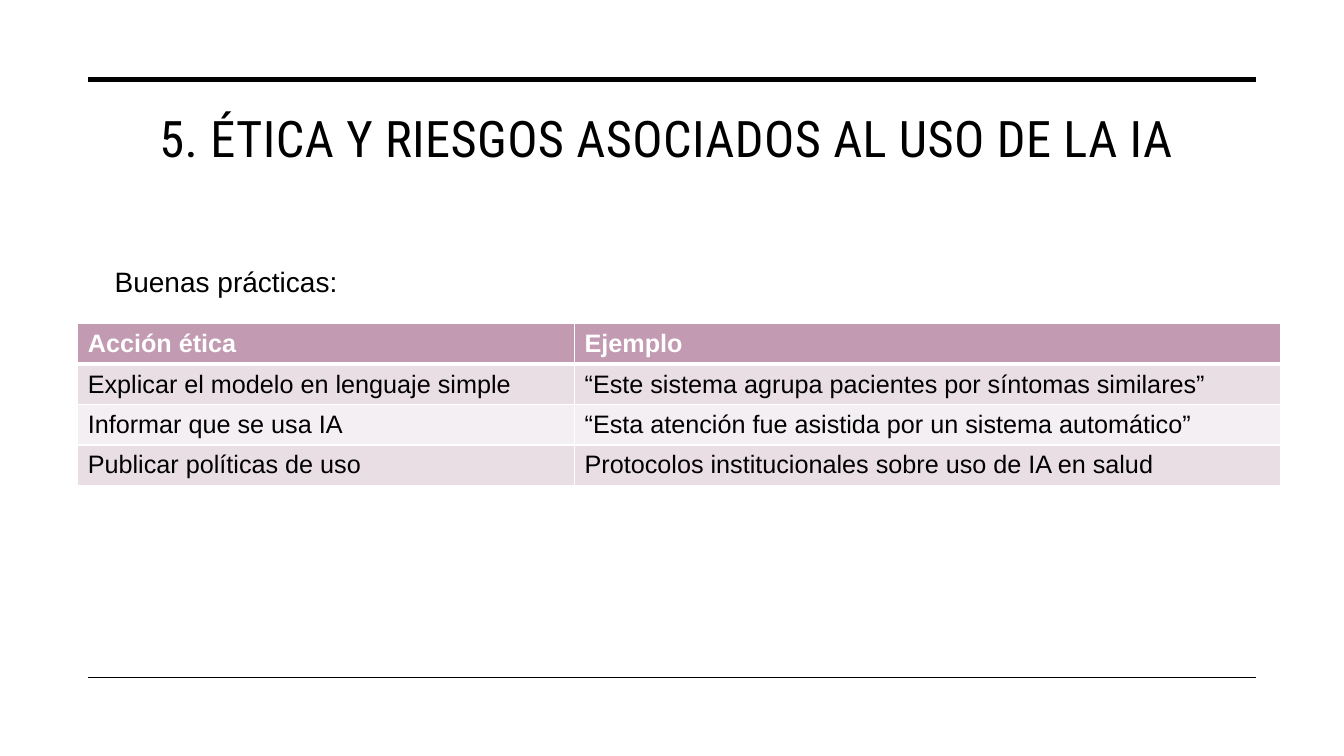
from lxml.etree import SubElement
from pptx import Presentation
from pptx.dml.color import RGBColor
from pptx.enum.shapes import MSO_CONNECTOR as Connector
from pptx.enum.text import MSO_ANCHOR as Anchor, PP_ALIGN as Align
from pptx.oxml.ns import qn
from pptx.util import Cm, Pt

TITLE = "5. ÉTICA Y RIESGOS ASOCIADOS AL USO DE LA IA"
SUBTITLE = "Buenas prácticas:"
ROWS = [
    ("Acción ética", "Ejemplo"),
    ("Explicar el modelo en lenguaje simple",
     "“Este sistema agrupa pacientes por síntomas similares”"),
    ("Informar que se usa IA",
     "“Esta atención fue asistida por un sistema automático”"),
    ("Publicar políticas de uso",
     "Protocolos institucionales sobre uso de IA en salud"),
]
RULES = [(2.0, 3.5), (17.07, 1)]
COLUMN_WIDTHS = [12.52, 17.78]
ROW_HEIGHT = 0.97

BLACK = RGBColor(0, 0, 0)
WHITE = RGBColor(255, 255, 255)
MAUVE = RGBColor(0xC2, 0x9A, 0xB1)
BANDS = [RGBColor(0xF4, 0xEF, 0xF2), RGBColor(0xE9, 0xDE, 0xE4)]


def add_rule(page, top, weight):
    rule = page.shapes.add_connector(
        Connector.STRAIGHT, Cm(2.23), Cm(top), Cm(31.65), Cm(top))
    rule.line.color.rgb = BLACK
    rule.line.width = Pt(weight)
    SubElement(rule._element.spPr, qn("a:effectLst"))


def style(para, size, name, color, bold=False):
    font = para.font
    font.size, font.name, font.bold = Pt(size), name, bold
    font.color.rgb = color


def add_text(page, text, left, top, width, height, size, name):
    box = page.shapes.add_textbox(Cm(left), Cm(top), Cm(width), Cm(height))
    frame = box.text_frame
    frame.word_wrap = True
    para = frame.paragraphs[0]
    para.text = text
    style(para, size, name, BLACK)
    return frame


def add_borders(cell, weights):
    properties = cell._tc.get_or_add_tcPr()
    for side, weight in weights.items():
        line = SubElement(properties, qn(f"a:ln{side}"), w=str(Pt(weight)))
        fill = SubElement(line, qn("a:solidFill"))
        SubElement(fill, qn("a:srgbClr"), val=str(WHITE))


def add_practices(page):
    table = page.shapes.add_table(
        len(ROWS), len(COLUMN_WIDTHS), Cm(1.96), Cm(8.16),
        Cm(sum(COLUMN_WIDTHS)), Cm(ROW_HEIGHT * len(ROWS))).table
    for column, width in zip(table.columns, COLUMN_WIDTHS):
        column.width = Cm(width)
    for index, texts in enumerate(ROWS):
        header = index == 0
        for cell, text in zip(table.rows[index].cells, texts):
            cell.text = text
            cell.vertical_anchor = Anchor.MIDDLE
            style(cell.text_frame.paragraphs[0], 18, "Arial",
                  WHITE if header else BLACK, header)
            add_borders(cell, {"L": 1, "R": 1, "T": 3 if index == 1 else 1,
                               "B": 3 if header else 1})
            cell.fill.solid()
            cell.fill.fore_color.rgb = MAUVE if header else BANDS[index % 2]


def main():
    deck = Presentation()
    deck.slide_width, deck.slide_height = Cm(33.87), Cm(19.05)
    page = deck.slides.add_slide(deck.slide_layouts[6])
    for top, weight in RULES:
        add_rule(page, top, weight)

    title = add_text(page, TITLE, 1.96, 2.57, 29.69, 3.81, 36, "Roboto Condensed")
    title.paragraphs[0].alignment = Align.CENTER
    title.paragraphs[0].runs[0].font._element.set("spc", "30")

    subtitle = add_text(page, SUBTITLE, 2.44, 6.38, 29.21, 1.78, 20, "Arial")
    subtitle.margin_left, subtitle.margin_top = Cm(0.45), Cm(0.21)
    subtitle.paragraphs[0].line_spacing = 1.1

    add_practices(page)
    deck.save("out.pptx")


if __name__ == "__main__":
    main()
